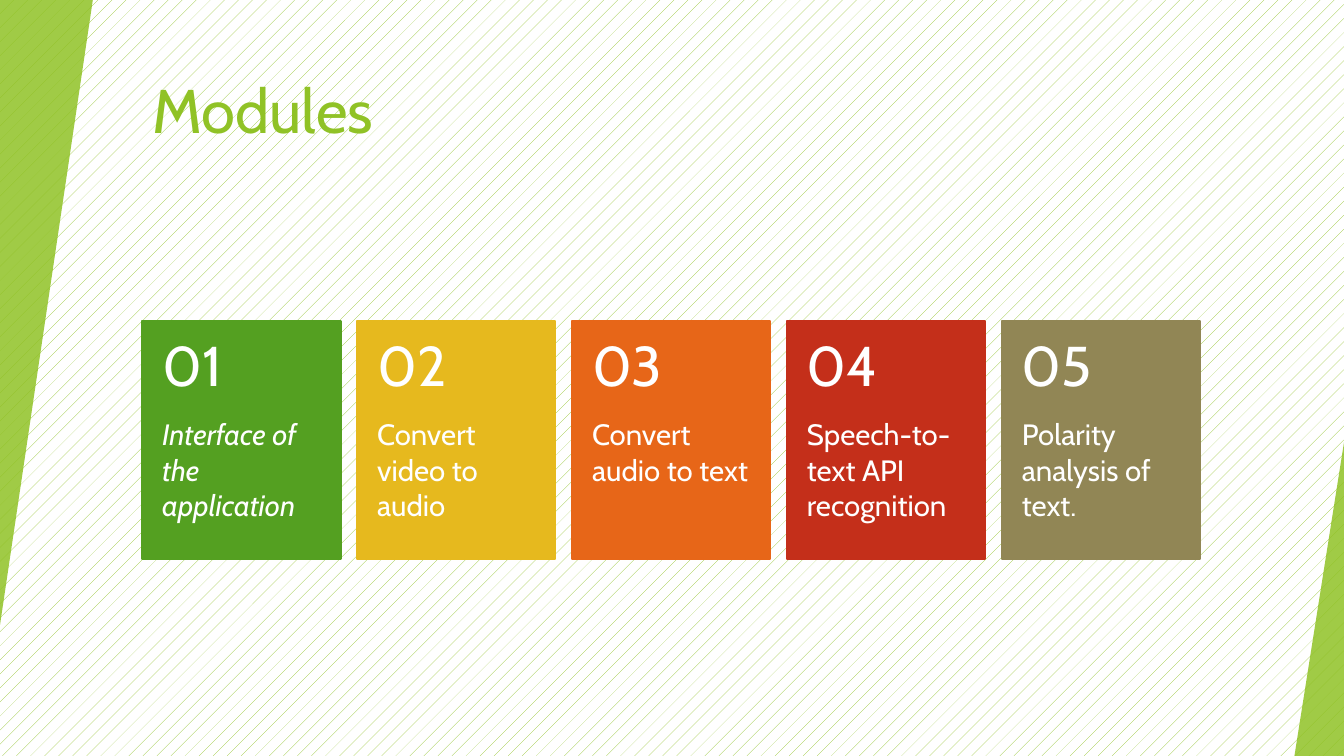
from pptx import Presentation
from pptx.dml.color import RGBColor
from pptx.enum.dml import MSO_PATTERN
from pptx.enum.shapes import MSO_SHAPE
from pptx.enum.text import MSO_ANCHOR, MSO_AUTO_SIZE, PP_ALIGN
from pptx.oxml.ns import qn
from pptx.util import Pt
from lxml.etree import SubElement

# Content
TITLE = "Modules"
MODULES = [  # text, colour, italic
    ("Interface of the application", "54A021", True),
    ("Convert video to audio", "E6B91E", False),
    ("Convert audio to text", "E76618", False),
    ("Speech-to-text API recognition", "C42F1A", False),
    ("Polarity analysis of text.", "918655", False),
]
FONT, GREEN, WHITE = "Cabin", "90C226", "FFFFFF"

# Layout, in points
SLIDE_W, SLIDE_H = 960, 540
CARD_LEFT, CARD_TOP, CARD_PITCH = 101.5, 229, 153.5
CARD_W, CARD_H, NUMBER_H = 141.8, 170.6, 68.4
INSET = 14.4


def colour(code):
    return RGBColor.from_string(code)


def add_panel(kind, left, top, width, height):
    panel = slide.shapes.add_shape(kind, Pt(left), Pt(top), Pt(width), Pt(height))
    panel.shadow.inherit = False
    panel.line.fill.background()
    return panel


def add_wedge(left, top, width, height, rotation):
    wedge = add_panel(MSO_SHAPE.ISOSCELES_TRIANGLE, left, top, width, height)
    wedge.adjustments[0] = 1
    wedge.rotation = rotation
    wedge.fill.solid()
    wedge.fill.fore_color.rgb = colour(GREEN)
    tint = wedge.fill._xPr.find(qn("a:solidFill"))[0]
    SubElement(tint, qn("a:alpha")).set("val", "85000")


def write(frame, text, size, code, anchor, insets, italic=False):
    frame.word_wrap = True
    frame.auto_size = MSO_AUTO_SIZE.NONE
    frame.vertical_anchor = anchor
    (frame.margin_left, frame.margin_top,
     frame.margin_right, frame.margin_bottom) = map(Pt, insets)
    paragraph = frame.paragraphs[0]
    paragraph.text = text
    paragraph.alignment = PP_ALIGN.LEFT
    font = paragraph.font
    font.name, font.size, font.italic = FONT, Pt(size), italic
    font.color.rgb = colour(code)
    return paragraph


prs = Presentation()
prs.slide_width, prs.slide_height = Pt(SLIDE_W), Pt(SLIDE_H)
slide = prs.slides.add_slide(prs.slide_layouts[5])
title = slide.shapes.title

# Patterned backdrop, kept behind the title
backdrop = add_panel(MSO_SHAPE.RECTANGLE, 0, 0, SLIDE_W, SLIDE_H)
backdrop.fill.patterned()
backdrop.fill.pattern = MSO_PATTERN.PERCENT_5
backdrop.fill.fore_color.rgb = colour(GREEN)
backdrop.fill.back_color.rgb = colour(WHITE)
title._element.addprevious(backdrop._element)

# Title
title.left, title.top, title.width, title.height = map(Pt, (101.5, 48, 803, 86.4))
write(title.text_frame, TITLE, 44, GREEN, MSO_ANCHOR.TOP, (7.2, 3.6, 7.2, 3.6))

# Green wedges at the left and right edges
add_wedge(0, 0, 66.3, 446.4, 180)
add_wedge(924.6, 316, 35.4, 224, 0)

# Numbered module cards
for index, (text, code, italic) in enumerate(MODULES):
    left = CARD_LEFT + index * CARD_PITCH
    card = add_panel(MSO_SHAPE.RECTANGLE, left, CARD_TOP, CARD_W, CARD_H)
    card.fill.solid()
    card.fill.fore_color.rgb = colour(code)
    card.line.color.rgb = colour(code)
    card.line.width = Pt(1.5)

    description = slide.shapes.add_textbox(
        Pt(left), Pt(CARD_TOP + NUMBER_H), Pt(CARD_W), Pt(CARD_H - NUMBER_H))
    write(description.text_frame, text, 21, WHITE, MSO_ANCHOR.TOP,
          (INSET, 0, INSET, 26), italic)

    number = slide.shapes.add_textbox(
        Pt(left), Pt(CARD_TOP), Pt(CARD_W), Pt(NUMBER_H))
    heading = write(number.text_frame, f"{index + 1:02}", 40, WHITE,
                    MSO_ANCHOR.MIDDLE, (INSET, 13, INSET, 13))
    heading.line_spacing = 0.9

prs.save("out.pptx")
